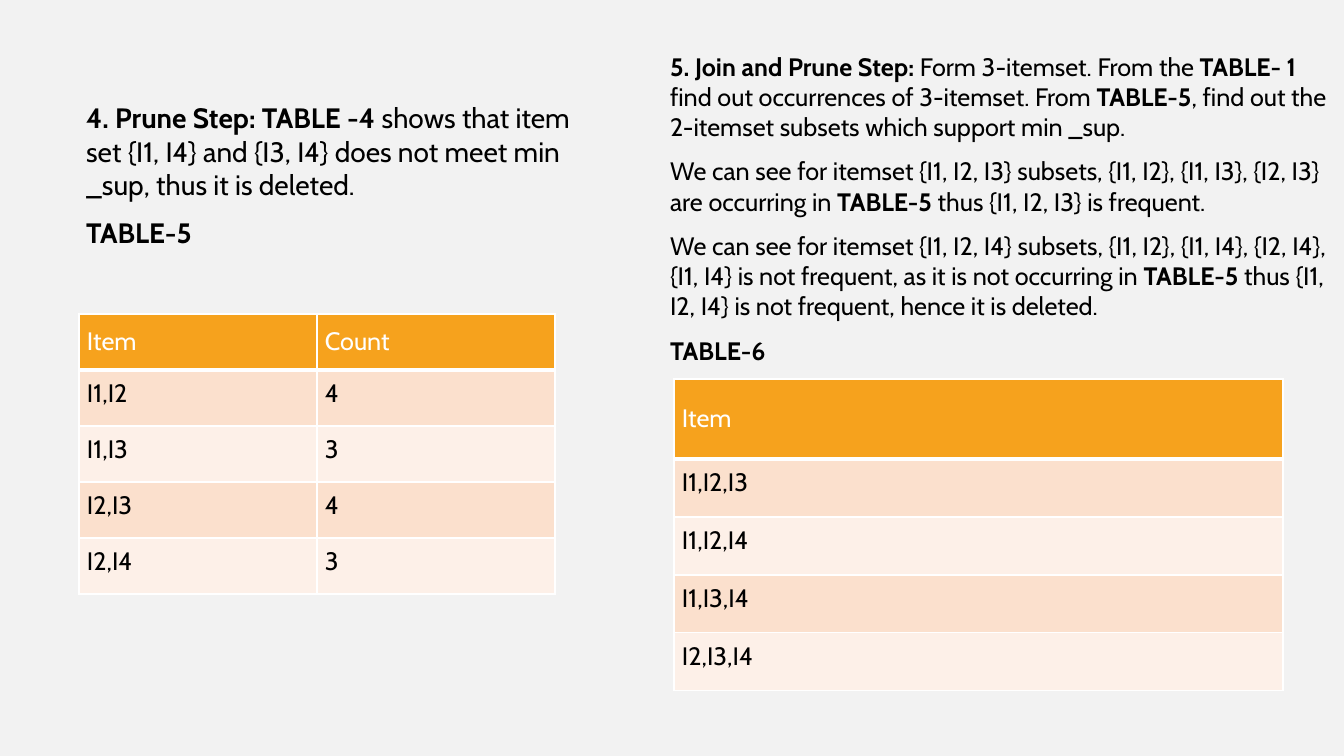
from dataclasses import dataclass

from lxml.etree import SubElement
from pptx import Presentation
from pptx.dml.color import RGBColor
from pptx.enum.text import MSO_ANCHOR as Anchor, MSO_AUTO_SIZE as AutoSize
from pptx.oxml.ns import qn
from pptx.util import Pt

PRUNE_STEP = [
    "**4. Prune Step: TABLE -4 **shows that item set {I1, I4} and {I3, I4} "
    "does not meet min _sup, thus it is deleted.",
    "**TABLE-5**",
]
JOIN_STEP = [
    "**5. Join and Prune Step:** Form 3-itemset. From the **TABLE- 1** find out occurrences "
    "of 3-itemset. From **TABLE-5**, find out the 2-itemset subsets which support min _sup.",
    "We can see for itemset {I1, I2, I3} subsets, {I1, I2}, {I1, I3}, {I2, I3} "
    "are occurring in **TABLE-5** thus {I1, I2, I3} is frequent.",
    "We can see for itemset {I1, I2, I4} subsets, {I1, I2}, {I1, I4}, {I2, I4}, {I1, I4} "
    "is not frequent, as it is not occurring in **TABLE-5** thus {I1, I2, I4} "
    "is not frequent, hence it is deleted.",
    "**TABLE-6**",
]
TABLE_5 = [("Item", "Count"), ("I1,I2", "4"), ("I1,I3", "3"), ("I2,I3", "4"), ("I2,I4", "3")]
TABLE_6 = [("Item",), ("I1,I2,I3",), ("I1,I2,I4",), ("I1,I3,I4",), ("I2,I3,I4",)]


@dataclass(frozen=True)
class Theme:
    font: str = "Cabin"
    background: str = "F2F2F2"
    ink: str = "000000"
    white: str = "FFFFFF"
    header: str = "F6A21D"
    bands: tuple = ("FBE0CD", "FDF0E8")
    large: int = 20
    normal: int = 18
    paragraph_gap: int = 10


THEME = Theme()
EMU_PER_PX = 914400 / 100.8


def px(length):
    return round(length * EMU_PER_PX)


def write(paragraph, text, size=THEME.normal, color=THEME.ink):
    for index, part in enumerate(text.split("**")):
        if part:
            run = paragraph.add_run()
            run.text = part
            font = run.font
            font.name, font.size, font.bold = THEME.font, Pt(size), index % 2 == 1
            font.color.rgb = RGBColor.from_string(color)


def fill_body(shape, paragraphs, box, size, anchor, bottom=5):
    shape.left, shape.top, shape.width, shape.height = map(px, box)
    frame = shape.text_frame
    frame.word_wrap, frame.auto_size = True, AutoSize.NONE
    frame.vertical_anchor, frame.margin_bottom = anchor, px(bottom)
    for index, text in enumerate(paragraphs):
        paragraph = frame.add_paragraph() if index else frame.paragraphs[0]
        properties = paragraph._p.get_or_add_pPr()
        properties.set("marL", "0")
        properties.set("indent", "0")
        SubElement(properties, qn("a:buNone"))
        paragraph.space_before = Pt(THEME.paragraph_gap if index else 0)
        write(paragraph, text, size=size)


def add_borders(cell, bottom):
    properties = cell._tc.get_or_add_tcPr()
    for side, width in (("L", 1), ("R", 1), ("T", 1), ("B", bottom)):
        line = SubElement(properties, qn(f"a:ln{side}"), w=str(Pt(width)))
        SubElement(SubElement(line, qn("a:solidFill")), qn("a:srgbClr"), val=THEME.white)


def add_item_table(slide, rows, left, top, column_width, header_height, row_height):
    columns = len(rows[0])
    height = header_height + row_height * (len(rows) - 1)
    frame = slide.shapes.add_table(len(rows), columns, px(left), px(top),
                                   px(column_width * columns), px(height))
    table = frame.table
    for column in table.columns:
        column.width = px(column_width)
    for row_index, values in enumerate(rows):
        is_header = row_index == 0
        table.rows[row_index].height = px(header_height if is_header else row_height)
        for column_index, value in enumerate(values):
            cell = table.cell(row_index, column_index)
            cell.margin_left = cell.margin_right = px(8)
            cell.margin_top = cell.margin_bottom = px(8)
            cell.vertical_anchor = Anchor.MIDDLE if is_header else Anchor.TOP
            add_borders(cell, bottom=3 if is_header else 1)
            color = THEME.header if is_header else THEME.bands[(row_index - 1) % 2]
            cell.fill.solid()
            cell.fill.fore_color.rgb = RGBColor.from_string(color)
            write(cell.text_frame.paragraphs[0], value,
                  color=THEME.white if is_header else THEME.ink)


def main():
    presentation = Presentation()
    presentation.slide_width, presentation.slide_height = px(1344), px(756)
    slide = presentation.slides.add_slide(presentation.slide_layouts[3])
    slide.background.fill.solid()
    slide.background.fill.fore_color.rgb = RGBColor.from_string(THEME.background)

    title, prune_body, join_body = list(slide.placeholders)[:3]
    title.element.getparent().remove(title.element)
    fill_body(prune_body, PRUNE_STEP, (76, 56, 509, 230), THEME.large, Anchor.BOTTOM, bottom=37)
    fill_body(join_body, JOIN_STEP, (660, 46, 684, 405), THEME.normal, Anchor.TOP)

    add_item_table(slide, TABLE_5, 79, 314, 238, header_height=56, row_height=56)
    add_item_table(slide, TABLE_6, 674, 379, 609, header_height=80, row_height=58)
    presentation.save("out.pptx")


if __name__ == "__main__":
    main()
